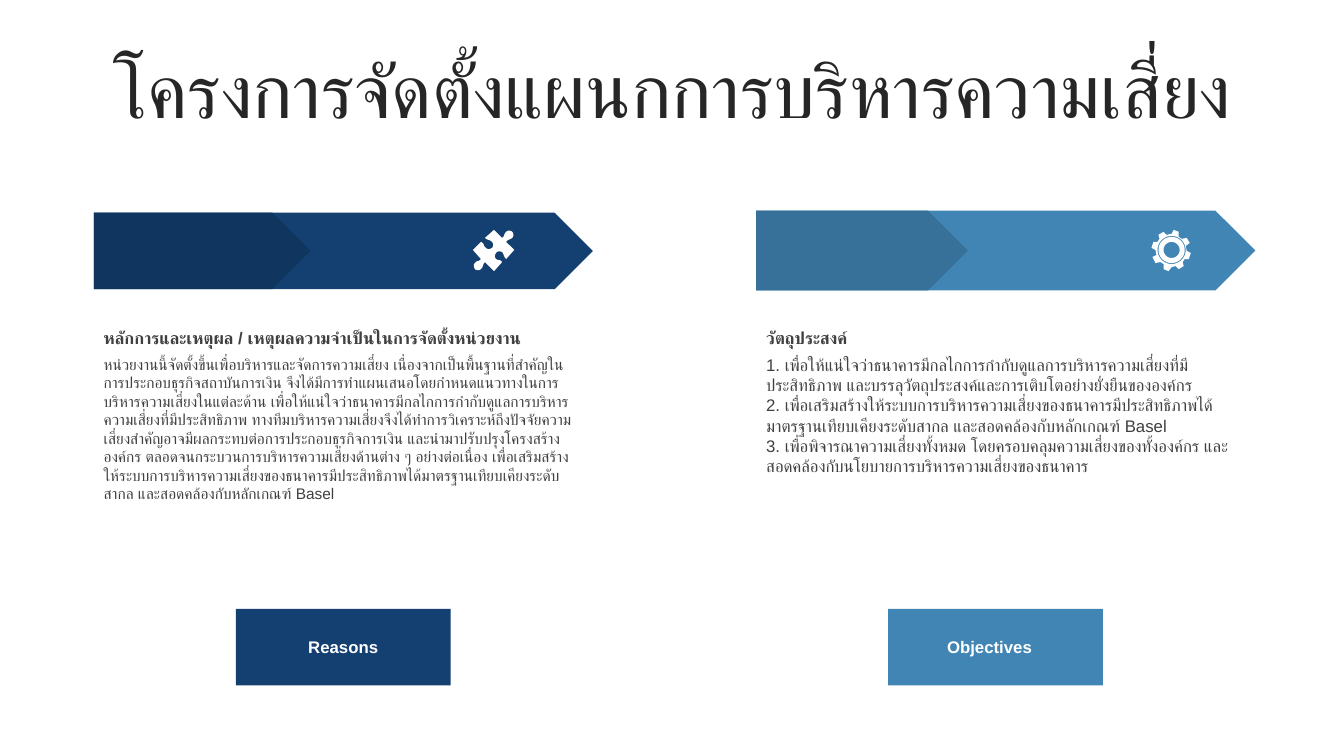
from math import cos, pi, sin

from lxml import etree
from pptx import Presentation
from pptx.dml.color import RGBColor
from pptx.enum.shapes import MSO_SHAPE as Preset
from pptx.enum.text import MSO_ANCHOR as Anchor, MSO_AUTO_SIZE as AutoSize, PP_ALIGN as Align
from pptx.oxml.ns import qn
from pptx.util import Inches, Pt

FONT = "Arial"
COLORS = {
    "title": "262626", "text": "404040", "white": "FFFFFF",
    "navy": "134070", "navy_dark": "10365F",
    "blue": "4185B5", "blue_dark": "37719A",
}
TITLE = "โครงการจัดตั้งแผนกการบริหารความเสี่ยง"
COLUMNS = [
    {
        "left": 0.93, "fill": "navy", "dark": "navy_dark",
        "banner_top": 2.11, "banner_height": 0.76, "dark_width": 2.15,
        "heading": "หลักการและเหตุผล / เหตุผลความจำเป็นในการจัดตั้งหน่วยงาน",
        "body": [
            "หน่วยงานนี้จัดตั้งขึ้นเพื่อบริหารและจัดการความเสี่ยง เนื่องจากเป็นพื้นฐานที่สำคัญใน"
            "การประกอบธุรกิจสถาบันการเงิน จึงได้มีการทำแผนเสนอโดยกำหนดแนวทางในการ"
            "บริหารความเสี่ยงในแต่ละด้าน เพื่อให้แน่ใจว่าธนาคารมีกลไกการกำกับดูแลการบริหาร"
            "ความเสี่ยงที่มีประสิทธิภาพ ทางทีมบริหารความเสี่ยงจึงได้ทำการวิเคราะห์ถึงปัจจัยความ"
            "เสี่ยงสำคัญอาจมีผลกระทบต่อการประกอบธุรกิจการเงิน และนำมาปรับปรุงโครงสร้าง"
            "องค์กร ตลอดจนกระบวนการบริหารความเสี่ยงด้านต่าง ๆ อย่างต่อเนื่อง เพื่อเสริมสร้างให้"
            "ระบบการบริหารความเสี่ยงของธนาคารมีประสิทธิภาพได้มาตรฐานเทียบเคียงระดับสากล "
            "และสอดคล้องกับหลักเกณฑ์ Basel",
        ],
        "body_height": 2.43, "body_size": 11,
        "button": "Reasons", "button_left": 2.34, "button_align": Align.CENTER,
    },
    {
        "left": 7.5, "fill": "blue", "dark": "blue_dark",
        "banner_top": 2.09, "banner_height": 0.79, "dark_width": 2.1,
        "heading": "วัตถุประสงค์",
        "body": [
            "1. เพื่อให้แน่ใจว่าธนาคารมีกลไกการกำกับดูแลการบริหารความเสี่ยงที่มี"
            "ประสิทธิภาพ และบรรลุวัตถุประสงค์และการเติบโตอย่างยั่งยืนขององค์กร",
            "2. เพื่อเสริมสร้างให้ระบบการบริหารความเสี่ยงของธนาคารมีประสิทธิภาพได้"
            "มาตรฐานเทียบเคียงระดับสากล และสอดคล้องกับหลักเกณฑ์ Basel",
            "3. เพื่อพิจารณาความเสี่ยงทั้งหมด โดยครอบคลุมความเสี่ยงของทั้งองค์กร และ"
            "สอดคล้องกับนโยบายการบริหารความเสี่ยงของธนาคาร",
        ],
        "body_height": 1.31, "body_size": 12,
        "button": "Objectives", "button_left": 8.81, "button_align": Align.LEFT,
    },
]
COLUMN_WIDTH = 4.95
BUTTON_TOP, BUTTON_WIDTH, BUTTON_HEIGHT = 6.04, 2.13, 0.76
LABEL_WIDTH, LABEL_HEIGHT = 1.16, 0.3

# Two numbers are a line end; six are two curve handles and a curve end.
PUZZLE = [
    (5.08, 2.3), (5.09, 2.31, 5.1, 2.34, 5.08, 2.36), (5.06, 2.38, 5.04, 2.37, 5.02, 2.4),
    (5.1, 2.48), (5.02, 2.57), (4.99, 2.54, 5, 2.52, 4.98, 2.5),
    (4.96, 2.49, 4.93, 2.49, 4.92, 2.51), (4.91, 2.52, 4.9, 2.55, 4.92, 2.57),
    (4.95, 2.59, 4.96, 2.57, 4.98, 2.6), (4.9, 2.69), (4.81, 2.6),
    (4.78, 2.63, 4.8, 2.64, 4.77, 2.67), (4.75, 2.69, 4.72, 2.68, 4.71, 2.67),
    (4.7, 2.65, 4.69, 2.63, 4.71, 2.61), (4.73, 2.58, 4.75, 2.6, 4.77, 2.57),
    (4.69, 2.48), (4.77, 2.4), (4.81, 2.42, 4.79, 2.44, 4.82, 2.46),
    (4.84, 2.48, 4.86, 2.47, 4.88, 2.46), (4.89, 2.45, 4.9, 2.42, 4.88, 2.4),
    (4.85, 2.37, 4.84, 2.39, 4.81, 2.36), (4.9, 2.28), (4.98, 2.36),
    (5.01, 2.34, 4.99, 2.33, 5.02, 2.3), (5.04, 2.28, 5.07, 2.29, 5.08, 2.3),
]
GEAR = [
    (11.69, 2.3), (11.69, 2.35), (11.72, 2.37), (11.77, 2.36), (11.8, 2.41), (11.76, 2.44),
    (11.77, 2.49), (11.81, 2.51), (11.79, 2.57), (11.75, 2.57), (11.73, 2.6), (11.74, 2.64),
    (11.69, 2.67), (11.66, 2.64), (11.62, 2.65), (11.59, 2.69), (11.54, 2.67), (11.54, 2.62),
    (11.51, 2.6), (11.46, 2.61), (11.43, 2.55), (11.47, 2.53), (11.46, 2.48), (11.42, 2.46),
    (11.44, 2.4), (11.48, 2.4), (11.5, 2.37), (11.49, 2.33), (11.54, 2.3), (11.57, 2.33),
    (11.62, 2.32), (11.64, 2.28),
]
GEAR_CENTER = (11.62, 2.48)
GEAR_RADII = (0.14, 0.13, 0.08)


def color(name):
    return RGBColor.from_string(COLORS[name])


def paint(shape, fill):
    shape.fill.solid()
    shape.fill.fore_color.rgb = color(fill)
    shape.line.fill.background()
    shape.shadow.inherit = False


def add_block(slide, preset, left, top, width, height, fill):
    shape = slide.shapes.add_shape(preset, Inches(left), Inches(top), Inches(width), Inches(height))
    paint(shape, fill)


def add_text(slide, left, top, width, height, lines, size, fill, bold=False,
             align=Align.LEFT, anchor=Anchor.MIDDLE, grow=True, spacing=None):
    box = slide.shapes.add_textbox(Inches(left), Inches(top), Inches(width), Inches(height))
    frame = box.text_frame
    frame.word_wrap = True
    frame.vertical_anchor = anchor
    frame.auto_size = AutoSize.SHAPE_TO_FIT_TEXT if grow else AutoSize.NONE
    for index, line in enumerate(lines):
        paragraph = frame.add_paragraph() if index else frame.paragraphs[0]
        paragraph.alignment = align
        paragraph.line_spacing = spacing
        run = paragraph.add_run()
        run.text = line
        run.font.size = Pt(size)
        run.font.bold = bold
        run.font.name = FONT
        run.font.color.rgb = color(fill)
        etree.SubElement(run.font._element, qn("a:cs")).set("typeface", FONT)


def flatten(outline, steps=6):
    """Turn an outline of lines and cubic curves into plain points."""
    points = [outline[0]]
    for segment in outline[1:]:
        if len(segment) == 2:
            points.append(segment)
            continue
        x0, y0 = points[-1]
        x1, y1, x2, y2, x3, y3 = segment
        for step in range(1, steps + 1):
            t = step / steps
            a, b, c, d = (1 - t) ** 3, 3 * t * (1 - t) ** 2, 3 * t * t * (1 - t), t ** 3
            points.append((a * x0 + b * x1 + c * x2 + d * x3, a * y0 + b * y1 + c * y2 + d * y3))
    return points


def circle(center, radius, steps=36):
    angles = [2 * pi * step / steps for step in range(steps)]
    return [(center[0] + radius * cos(angle), center[1] + radius * sin(angle)) for angle in angles]


def add_icon(slide, contours):
    """Draw closed contours as one white shape; inner contours cut holes."""
    contours = [[(Inches(x), Inches(y)) for x, y in contour] for contour in contours]
    builder = slide.shapes.build_freeform(*contours[0][0])
    for index, contour in enumerate(contours):
        if index:
            builder.move_to(*contour[0])
        builder.add_line_segments(contour[1:], close=True)
    paint(builder.convert_to_shape(), "white")


def add_column(slide, column):
    left, fill = column["left"], column["fill"]
    add_text(slide, left, 3.2, COLUMN_WIDTH, 0.3, [column["heading"]], 12, "text", bold=True)
    add_text(slide, left, 3.47, COLUMN_WIDTH, column["body_height"], column["body"],
             column["body_size"], "text", anchor=Anchor.TOP)
    button_left = column["button_left"]
    add_block(slide, Preset.RECTANGLE, button_left, BUTTON_TOP, BUTTON_WIDTH, BUTTON_HEIGHT, fill)
    add_text(slide, button_left + (BUTTON_WIDTH - LABEL_WIDTH) / 2,
             BUTTON_TOP + (BUTTON_HEIGHT - LABEL_HEIGHT) / 2, LABEL_WIDTH, LABEL_HEIGHT,
             [column["button"]], 12, "white", bold=True, align=column["button_align"])
    for width, shade in ((COLUMN_WIDTH, fill), (column["dark_width"], column["dark"])):
        add_block(slide, Preset.PENTAGON, left, column["banner_top"], width,
                  column["banner_height"], shade)


def main():
    presentation = Presentation()
    presentation.slide_width, presentation.slide_height = Inches(13.33), Inches(7.5)
    slide = presentation.slides.add_slide(presentation.slide_layouts[6])
    add_text(slide, 0.34, 0.54, 12.66, 0.79, [TITLE], 54, "title",
             align=Align.CENTER, grow=False, spacing=0.9)
    for column in COLUMNS:
        add_column(slide, column)
    add_icon(slide, [flatten(PUZZLE)])
    add_icon(slide, [GEAR] + [circle(GEAR_CENTER, radius) for radius in GEAR_RADII])
    presentation.save("out.pptx")


if __name__ == "__main__":
    main()
